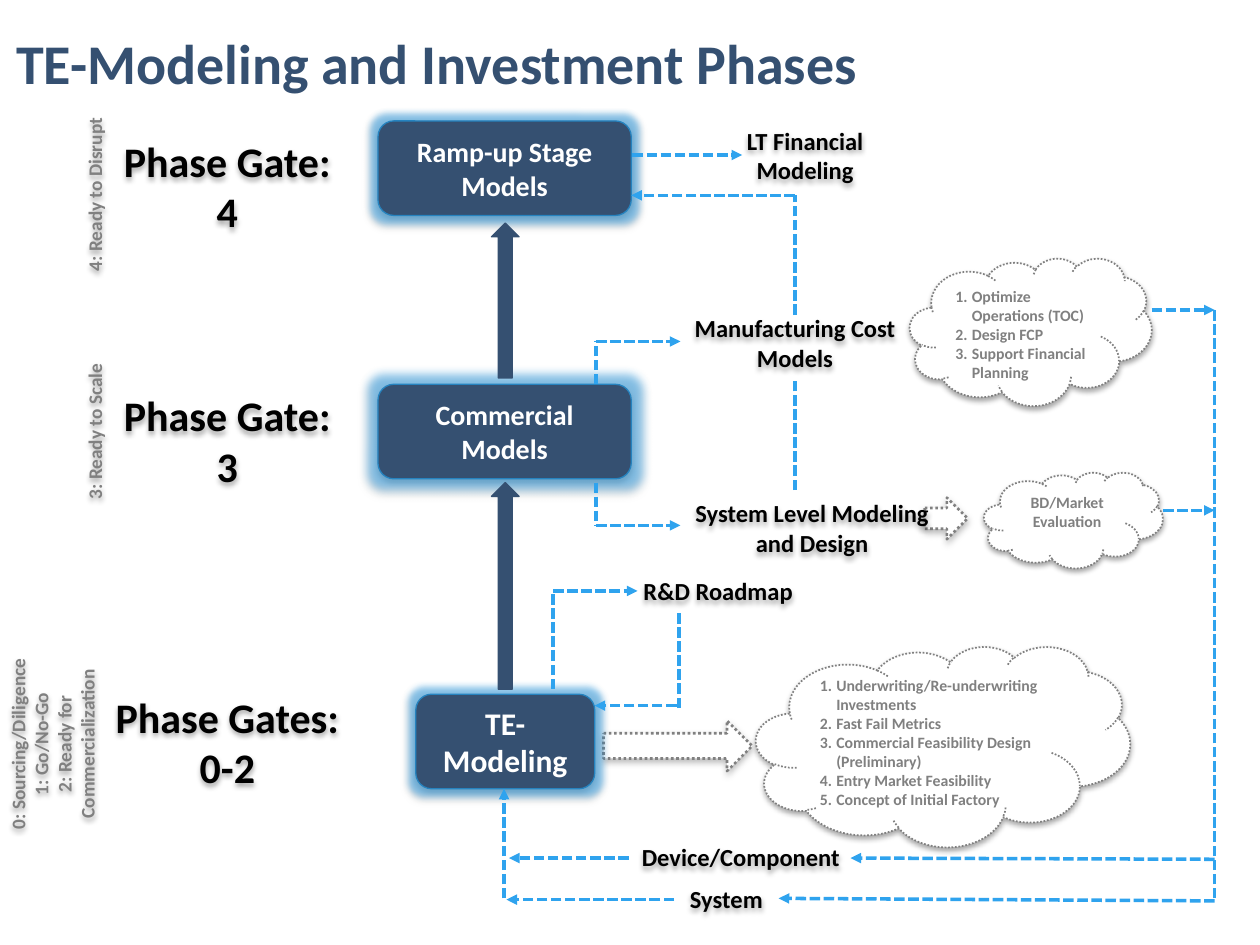
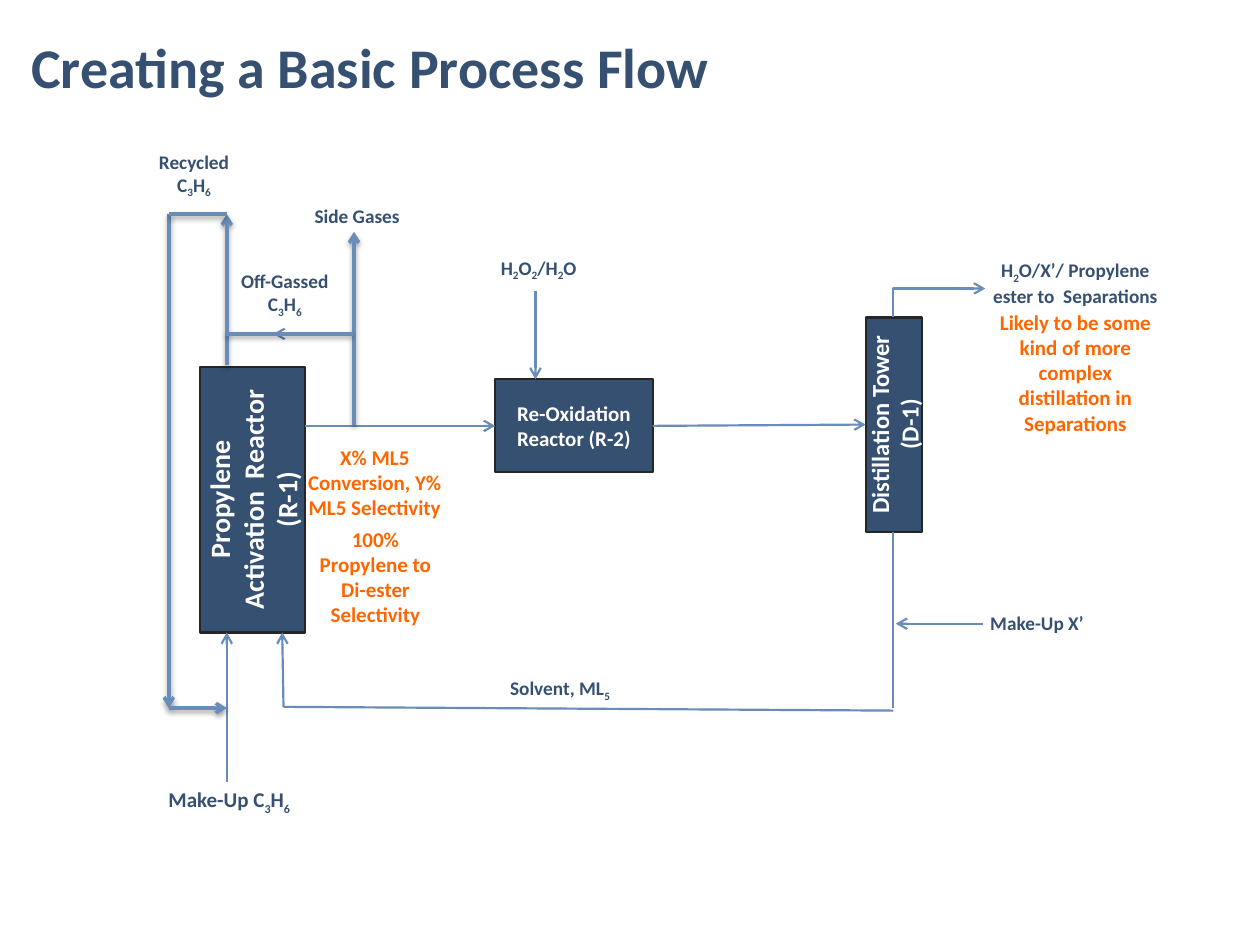
from lxml import etree
from pptx import Presentation
from pptx import util as u
from pptx.dml.color import RGBColor
from pptx.enum import dml, shapes, text
from pptx.oxml.ns import qn

COLORS = {
    "navy": "355071", "edge": "2683BF", "sky": "2FA3EE", "steel": "698CB8",
    "gray": "808080", "ink": "262626", "orange": "FF6600",
    "white": "FFFFFF", "black": "000000",
}
FONT = "Calibri"
KIND = shapes.MSO_SHAPE
CENTER, LEFT = text.PP_ALIGN.CENTER, text.PP_ALIGN.LEFT
MIDDLE, TOP, BOTTOM = (text.MSO_ANCHOR.MIDDLE, text.MSO_ANCHOR.TOP,
                       text.MSO_ANCHOR.BOTTOM)
DOTS, DASHES = dml.MSO_LINE.ROUND_DOT, dml.MSO_LINE.SQUARE_DOT

# Shadows as opacity %, blur pt, distance pt
SOFT, ARROW_SHADOW, LINE_SHADOW = (35, 3.1, 1.8), (28, 4, 2), (38, 3.1, 1.6)

# Line formats, as keyword values for Deck methods
DASHED = {"color": "sky", "weight": 2, "dash": DASHES, "tip": "triangle"}
THIN = {"color": "steel", "weight": 1.25, "tip": "arrow"}
THICK = {"color": "steel", "weight": 2, "tip": "arrow", "shadow": LINE_SHADOW}


def rgb(name):
    return RGBColor.from_string(COLORS[name])


def set_all(target, values):
    for name, value in values.items():
        setattr(target, name, value)


class Deck:
    """Holds the shared style and the slide being built."""

    def __init__(self):
        self.prs = Presentation()
        self.prs.slide_width, self.prs.slide_height = u.Inches(10), u.Inches(7.5)
        self.slide = None

    def new_slide(self, heading, left, top, width):
        self.slide = self.prs.slides.add_slide(self.prs.slide_layouts[6])
        self.label((left, top, width, 0.76), heading, 32, "navy",
                   align=LEFT, line_spacing=0.9)

    def effects(self, shape, shadow=None, glow=None):
        props = shape._element.spPr
        effects = props.find(qn("a:effectLst"))
        if effects is None:
            effects = etree.SubElement(props, qn("a:effectLst"))

        def add(tag, color, opacity, **attrs):
            effect = etree.SubElement(effects, qn(tag), attrs)
            tint = etree.SubElement(effect, qn("a:srgbClr"), val=COLORS[color])
            etree.SubElement(tint, qn("a:alpha"), val=str(opacity * 1000))

        if glow:
            add("a:glow", "sky", 50, rad=str(u.Pt(glow)))
        if shadow:
            opacity, blur, distance = shadow
            add("a:outerShdw", "black", opacity, blurRad=str(u.Pt(blur)),
                dist=str(u.Pt(distance)), dir="5400000", rotWithShape="0")

    def stroke(self, line, color, weight, dash=None):
        line.color.rgb = rgb(color)
        line.width = u.Pt(weight)
        if dash:
            line.dash_style = dash

    def put_text(self, shape, words, size, color, align=CENTER, anchor=MIDDLE,
                 vertical=False, numbered=False, line_spacing=None):
        """One paragraph per line of words; the character after _ is a subscript."""
        frame = shape.text_frame
        set_all(frame, {"word_wrap": True, "vertical_anchor": anchor})
        if vertical:
            frame._txBody.bodyPr.set("vert", "vert270")
        for i, line in enumerate(words.split("\n")):
            par = frame.add_paragraph() if i else frame.paragraphs[0]
            set_all(par, {"alignment": align, "line_spacing": line_spacing})
            if numbered:
                props = par._p.get_or_add_pPr()
                hang = u.Inches(0.13)
                props.set("marL", str(hang))
                props.set("indent", str(-hang))
                etree.SubElement(props, qn("a:buAutoNum"), type="arabicPeriod")
            first, *marked = line.split("_")
            pieces = [(first, False)]
            for part in marked:
                pieces += [(part[0], True), (part[1:], False)]
            for piece, subscript in pieces:
                if not piece:
                    continue
                run = par.add_run()
                run.text = piece
                set_all(run.font, {"name": FONT, "size": u.Pt(size), "bold": True})
                run.font.color.rgb = rgb(color)
                if subscript:
                    run._r.get_or_add_rPr().set("baseline", "-25000")

    def label(self, box, words, size, color, **style):
        holder = self.slide.shapes.add_textbox(*map(u.Inches, box))
        self.put_text(holder, words, size, color, **style)
        return holder

    def shape(self, kind, box, fill=None, line=None, shadow=None, glow=None):
        body = self.slide.shapes.add_shape(kind, *map(u.Inches, box))
        body.shadow.inherit = False
        if fill:
            body.fill.solid()
            body.fill.fore_color.rgb = rgb(fill)
        else:
            body.fill.background()
        if line:
            self.stroke(body.line, *line)
        else:
            body.line.fill.background()
        self.effects(body, shadow, glow)
        return body

    def caption(self, box, words, size=14):
        self.put_text(self.shape(KIND.ROUNDED_RECTANGLE, box, shadow=SOFT),
                      words, size, "black")

    def stage(self, box, words, size, glow):
        body = self.shape(KIND.ROUNDED_RECTANGLE, box, "navy", ("edge", 0.75),
                          SOFT, glow)
        self.put_text(body, words, size, "white")

    def cloud(self, box, words, **style):
        body = self.shape(KIND.CLOUD, box, "white", ("gray", 1, DOTS), SOFT)
        self.put_text(body, words, 9, "gray", **style)

    def unit(self, box, words, size, vertical=False):
        body = self.shape(KIND.RECTANGLE, box, "navy", ("ink", 1.25))
        self.put_text(body, words, size, "white", vertical=vertical)

    def line(self, x1, y1, x2, y2, color, weight, dash=None, tip=None,
             shadow=None, elbow=False):
        if elbow:  # rises from the start, then turns right: a quarter-turned box
            mid_x, mid_y = (x1 + x2) / 2, (y1 + y2) / 2
            half_w, half_h = abs(y2 - y1) / 2, abs(x2 - x1) / 2
            x1, y1, x2, y2 = (mid_x + half_w, mid_y + half_h,
                              mid_x - half_w, mid_y - half_h)
        link = self.slide.shapes.add_connector(
            shapes.MSO_CONNECTOR.ELBOW if elbow else shapes.MSO_CONNECTOR.STRAIGHT,
            *map(u.Inches, (x1, y1, x2, y2)))
        props = link._element.spPr
        if elbow:
            props.find(qn("a:xfrm")).set("rot", "5400000")
            props.find(qn("a:prstGeom")).set("prst", "bentConnector2")
        self.stroke(link.line, color, weight, dash)
        if tip:
            etree.SubElement(props.find(qn("a:ln")), qn("a:tailEnd"), type=tip)
        self.effects(link, shadow)

    def lines(self, routes, style, **changes):
        for route in routes:
            self.line(*route, **{**style, **changes})


def investment_phases(deck):
    deck.new_slide("TE-Modeling and Investment Phases", 0.03, 0.15, 9.54)

    # Purposes of each model
    deck.cloud((7.22, 2.05, 1.92, 1.17),
               "Optimize Operations (TOC)\nDesign FCP\nSupport Financial Planning",
               numbered=True, align=LEFT, anchor=TOP)
    deck.cloud((6, 5.13, 2.97, 1.59),
               "Underwriting/Re-underwriting Investments\nFast Fail Metrics\n"
               "Commercial Feasibility Design (Preliminary)\n"
               "Entry Market Feasibility\nConcept of Initial Factory",
               numbered=True, align=LEFT)
    deck.cloud((7.81, 3.75, 1.42, 0.76), "BD/Market Evaluation", anchor=TOP)
    for box in ((4.79, 5.72, 1.18, 0.4), (7.34, 3.95, 0.34, 0.33)):
        deck.shape(KIND.RIGHT_ARROW, box, "white", ("gray", 1.5, DOTS), ARROW_SHADOW)

    # Main stages, rising from the bottom
    deck.stage((3.3, 5.51, 1.42, 0.75), "TE-Modeling", 18, 8)
    deck.stage((3, 3.05, 2.01, 0.75), "Commercial Models", 16, 11)
    deck.stage((3, 0.96, 2.01, 0.75), "Ramp-up Stage\nModels", 16, 8)
    for top, height in ((3.83, 1.64), (1.77, 1.23)):
        deck.shape(KIND.UP_ARROW, (3.9, top, 0.22, height), "navy", ("navy", 0.75))

    # Phase gates
    for top, height, words in ((5.49, 0.79, "Phase Gates:\n0-2"),
                               (2.83, 1.33, "Phase Gate:\n3"),
                               (0.81, 1.33, "Phase Gate:\n4")):
        deck.caption((0.72, top, 2.17, height), words, 24)
    for box, words, anchor in (
            ((-0.01, 4.99, 0.85, 1.83),
             "0: Sourcing/Diligence\n1: Go/No-Go\n2: Ready for Commercialization", MIDDLE),
            ((0.31, 2.51, 0.58, 1.83), "3: Ready to Scale", BOTTOM),
            ((0.31, 0.63, 0.58, 1.83), "4: Ready to Disrupt", BOTTOM)):
        readiness = deck.label(box, words, 11, "gray", anchor=anchor, vertical=True)
        deck.effects(readiness, SOFT)

    # Model names
    for box, words in (
            ((5.35, 6.93, 0.83, 0.4), "System"),
            ((4.92, 6.6, 1.92, 0.4), "Device/Component"),
            ((4.74, 4.52, 1.92, 0.34), "R&D Roadmap"),
            ((5.39, 3.89, 2.11, 0.6), "System Level Modeling and Design"),
            ((5.35, 2.45, 1.92, 0.54), "Manufacturing Cost Models"),
            ((5.43, 0.96, 1.92, 0.54), "LT Financial Modeling")):
        deck.caption(box, words)

    # Information flow
    feedback_x = 9.64
    deck.lines([
        (5.35, 7.14, 4.02, 7.14), (4, 7.13, 4, 6.26), (4.99, 6.81, 4.04, 6.81),
        (4.39, 4.69, 5.06, 4.69), (5.37, 5.6, 4.72, 5.6),
        (4.73, 2.71, 5.4, 2.71), (4.73, 4.17, 5.4, 4.17),
        (feedback_x, 7.15, 6.18, 7.13), (feedback_x, 6.82, 6.75, 6.81),
        (9.14, 2.46, feedback_x, 2.46), (9.23, 4.05, feedback_x, 4.05),
        (5.02, 1.23, 5.89, 1.23), (6.31, 1.55, 5.01, 1.55),
    ], DASHED)
    deck.lines([
        (4.39, 5.47, 4.39, 4.69), (5.39, 5.62, 5.39, 4.85),
        (4.73, 3.05, 4.73, 2.71), (4.73, 3.83, 4.73, 4.17),
        (feedback_x, 7.13, feedback_x, 2.46),
        (6.31, 3.89, 6.31, 3), (6.31, 2.5, 6.31, 1.55),
    ], DASHED, tip=None)


def process_flow(deck):
    deck.new_slide("Creating a Basic Process Flow", 0.15, 0.18, 9.75)

    # Process units
    deck.unit((1.59, 2.91, 0.83, 2.11), "Propylene Activation  Reactor (R-1)", 16, True)
    deck.unit((3.93, 3.01, 1.25, 0.74), "Re-Oxidation Reactor (R-2)", 12)
    deck.unit((6.87, 2.52, 0.45, 1.7), "Distillation Tower (D-1)", 14, True)

    # Feed and product streams
    deck.lines([
        (2.42, 3.38, 3.93, 3.38), (1.8, 6.21, 1.8, 5.02), (2.49, 2.65, 2.17, 2.65),
        (2.25, 5.61, 2.24, 5.02), (4.25, 2.31, 4.25, 3.01), (7.8, 4.95, 7.11, 4.95),
        (5.18, 3.38, 6.87, 3.37),
    ], THIN)
    deck.lines([(7.09, 5.62, 7.09, 4.22), (7.09, 5.64, 2.25, 5.61)], THIN, tip=None)
    deck.line(7.09, 2.52, 7.82, 2.29, **THIN, elbow=True)

    # Gas recycle
    deck.lines([(2.81, 3.37, 2.81, 1.84), (1.34, 1.7, 1.34, 5.62),
                (1.8, 2.9, 1.8, 1.7), (1.34, 5.62, 1.8, 5.62)], THICK)
    deck.lines([(1.79, 2.65, 2.8, 2.65), (1.34, 1.7, 1.8, 1.7)], THICK, tip=None)

    # Stream names
    deck.label((1.09, 6.21, 1.46, 0.3), "Make-Up C_3H_6", 12, "navy")
    for box, words in (
            ((1.09, 1.15, 0.9, 0.47), "Recycled C_3H_6"),
            ((1.72, 2.1, 1.08, 0.47), "Off-Gassed C_3H_6"),
            ((7.76, 2.01, 1.55, 0.47), "H_2O/X’/ Propylene ester to  Separations"),
            ((3.83, 5.33, 1.23, 0.29), "Solvent, ML_5"),
            ((3.74, 1.99, 1.07, 0.29), "H_2O_2/H_2O"),
            ((7.72, 4.8, 1.02, 0.29), "Make-Up X’"),
            ((2.3, 1.59, 1.07, 0.24), "Side Gases")):
        deck.label(box, words, 11, "navy")

    # Assumptions
    for box, words in (
            ((2.31, 3.47, 1.33, 0.71), "X% ML5 Conversion, Y% ML5 Selectivity"),
            ((7.8, 2.4, 1.47, 1.11),
             "Likely to be some kind of more complex distillation in Separations"),
            ((2.33, 4.12, 1.3, 0.91), "100% Propylene to Di-ester Selectivity")):
        deck.label(box, words, 12, "orange")


def main():
    deck = Deck()
    investment_phases(deck)
    process_flow(deck)
    deck.prs.save("out.pptx")


if __name__ == "__main__":
    main()
